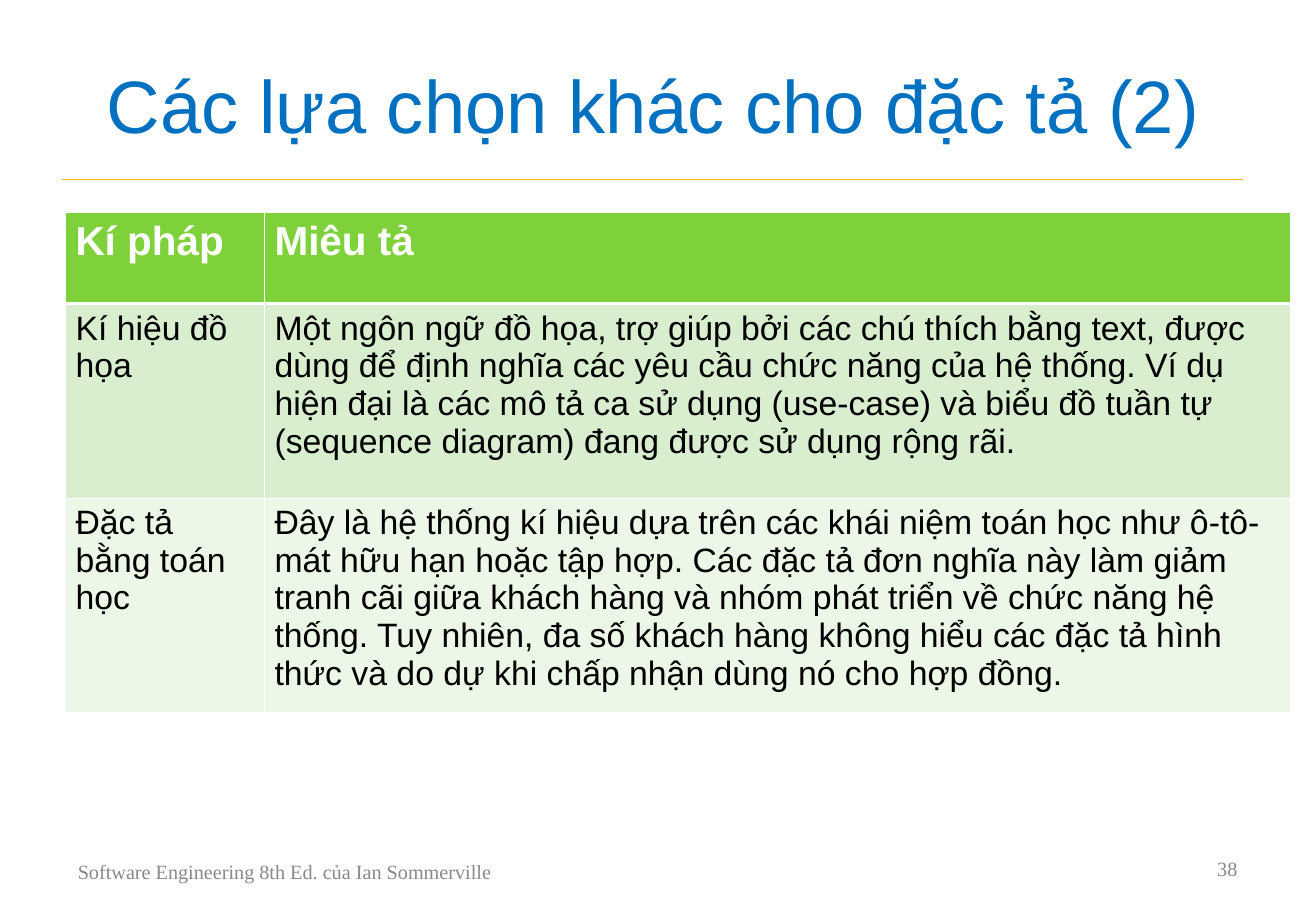
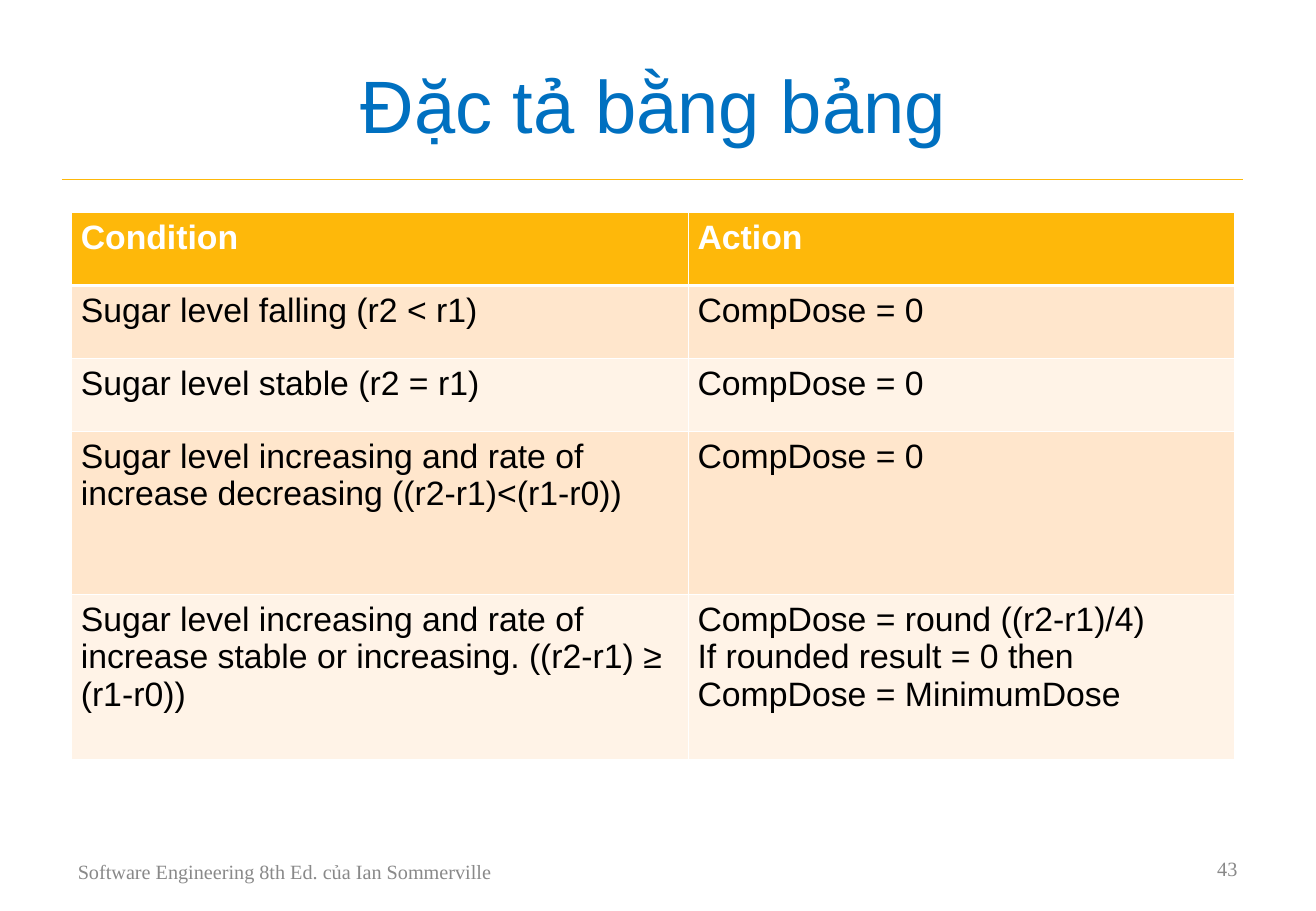
"""Build two slides, each with a ruled title, a banded table and a footer."""
from pptx import Presentation, util as u
from pptx.dml.color import RGBColor
from pptx.enum import shapes, text
from pptx.oxml import parse_xml
from pptx.oxml.ns import nsdecls

COLORS = {
    "title": "0070C0", "rule": "FEB80A", "footer": "898989",
    "white": "FFFFFF", "black": "000000",
}
GREEN = {"header": "7FD13B", "bands": ("D8EECE", "ECF7E8")}
ORANGE = {"header": "FEB80A", "bands": ("FFE6CC", "FFF3E7")}
SANS, SERIF = "Arial", "Times New Roman"
WIDTH, HEIGHT = u.Inches(10.84), u.Inches(7.5)
THIN, THICK = u.Pt(0.45), u.Pt(1.47)

TITLE_BOX = (4.7, 3.07, 89.94, 16.67)
FOOTER_BOX = (5, 93.33, 61.1, 4.67)
NUMBER_BOX = (71.6, 92.67, 23.34, 5.33)
FOOTER = "Software Engineering 8th Ed. của Ian Sommerville"

NOTATIONS = [
    ("Kí pháp", "Miêu tả"),
    ("Kí hiệu đồ họa",
     "Một ngôn ngữ đồ họa, trợ giúp bởi các chú thích bằng text, được dùng để "
     "định nghĩa các yêu cầu chức năng của hệ thống. Ví dụ hiện đại là các mô tả "
     "ca sử dụng (use-case) và biểu đồ tuần tự (sequence diagram) đang được sử "
     "dụng rộng rãi."),
    ("Đặc tả bằng toán học",
     "Đây là hệ thống kí hiệu dựa trên các khái niệm toán học như ô-tô-mát hữu "
     "hạn hoặc tập hợp. Các đặc tả đơn nghĩa này làm giảm tranh cãi giữa khách "
     "hàng và nhóm phát triển về chức năng hệ thống. Tuy nhiên, đa số khách hàng "
     "không hiểu các đặc tả hình thức và do dự khi chấp nhận dùng nó cho hợp "
     "đồng."),
]
DOSES = [
    ("Condition", "Action"),
    ("Sugar level falling (r2 < r1)", "CompDose = 0"),
    ("Sugar level stable (r2 = r1)", "CompDose = 0"),
    ("Sugar level increasing and rate of increase decreasing "
     "((r2-r1)<(r1-r0))", "CompDose = 0"),
    ("Sugar level increasing and rate of increase stable or increasing. "
     "((r2-r1) ≥ (r1-r0))",
     "CompDose = round ((r2-r1)/4)\nIf rounded result = 0 then\n"
     "CompDose = MinimumDose"),
]


def place(box):
    """Turn percentages of the slide into left, top, width and height."""
    return [int(share * side / 100)
            for share, side in zip(box, (WIDTH, HEIGHT) * 2)]


def write(frame, words, size, color, face, bold=False, align=text.PP_ALIGN.LEFT):
    """Fill a text frame with evenly styled paragraphs."""
    frame.word_wrap = True
    frame.text = words
    for paragraph in frame.paragraphs:
        paragraph.alignment = align
        font = paragraph.font
        font.size, font.name, font.bold = u.Pt(size), face, bold
        font.color.rgb = RGBColor.from_string(color)


def add_label(slide, box, words, size, color, face, align=text.PP_ALIGN.LEFT):
    """Add a vertically centred line of text."""
    frame = slide.shapes.add_textbox(*place(box)).text_frame
    frame.vertical_anchor = text.MSO_ANCHOR.MIDDLE
    write(frame, words, size, color, face, align=align)


def add_rule(slide, box):
    """Draw the rule along the bottom of the title box."""
    left, top, width, height = place(box)
    bottom = top + height
    rule = slide.shapes.add_connector(
        shapes.MSO_CONNECTOR.STRAIGHT, left, bottom, left + int(width * 0.998), bottom)
    rule.line.color.rgb = RGBColor.from_string(COLORS["rule"])
    rule.line.width = u.Pt(0.75)
    rule._element.spPr.append(parse_xml(f"<a:effectLst {nsdecls('a')}/>"))


def add_borders(cell, top, bottom):
    """Give a cell white borders, with its own top and bottom widths."""
    properties = cell._tc.get_or_add_tcPr()
    for side, width in zip("LRTB", (THIN, THIN, top, bottom)):
        properties.append(parse_xml(
            f'<a:ln{side} {nsdecls("a")} w="{width}"><a:solidFill>'
            f'<a:srgbClr val="{COLORS["white"]}"/></a:solidFill></a:ln{side}>'))


def add_banded_table(slide, box, columns, rows, theme, content, header_size):
    """Add a table whose columns and rows split the box by weight."""
    left, top, width, height = place(box)
    table = slide.shapes.add_table(
        len(rows), len(columns), left, top, width, height).table
    table.horz_banding = False
    for column, weight in zip(table.columns, columns):
        column.width = int(width * weight / sum(columns))
    for row, weight in zip(table.rows, rows):
        row.height = int(height * weight / sum(rows))
    for r, line in enumerate(content):
        header = r == 0
        fill = theme["header"] if header else theme["bands"][(r - 1) % 2]
        for c, words in enumerate(line):
            cell = table.cell(r, c)
            cell.margin_left = cell.margin_right = u.Inches(0.08)
            add_borders(cell, THICK if r == 1 else THIN, THICK if header else THIN)
            cell.fill.solid()
            cell.fill.fore_color.rgb = RGBColor.from_string(fill)
            write(cell.text_frame, words, header_size if header else 20,
                  COLORS["white" if header else "black"], SANS, bold=header)


def add_slide(deck, title, number):
    """Add a slide with the shared title, rule and footer."""
    slide = deck.slides.add_slide(deck.slide_layouts[6])
    add_rule(slide, TITLE_BOX)
    add_label(slide, TITLE_BOX, title, 44, COLORS["title"], SANS,
              text.PP_ALIGN.CENTER)
    add_label(slide, FOOTER_BOX, FOOTER, 12, COLORS["footer"], SERIF)
    add_label(slide, NUMBER_BOX, number, 12, COLORS["footer"], SERIF,
              text.PP_ALIGN.RIGHT)
    return slide


def main():
    """Build and save the deck."""
    deck = Presentation()
    deck.slide_width, deck.slide_height = WIDTH, HEIGHT
    notation = add_slide(deck, "Các lựa chọn khác cho đặc tả (2)", "38")
    add_banded_table(notation, (5, 23.33, 93.05, 54.93), (1.64, 8.45),
                     (0.75, 1.6, 1.77), GREEN, NOTATIONS, 24)
    dosing = add_slide(deck, "Đặc tả bằng bảng", "43")
    add_banded_table(dosing, (5.4, 23.33, 88.4, 60), (5.08, 4.5),
                     (0.6, 0.6, 0.6, 1.34, 1.35), ORANGE, DOSES, 20)
    deck.save("out.pptx")


if __name__ == "__main__":
    main()
